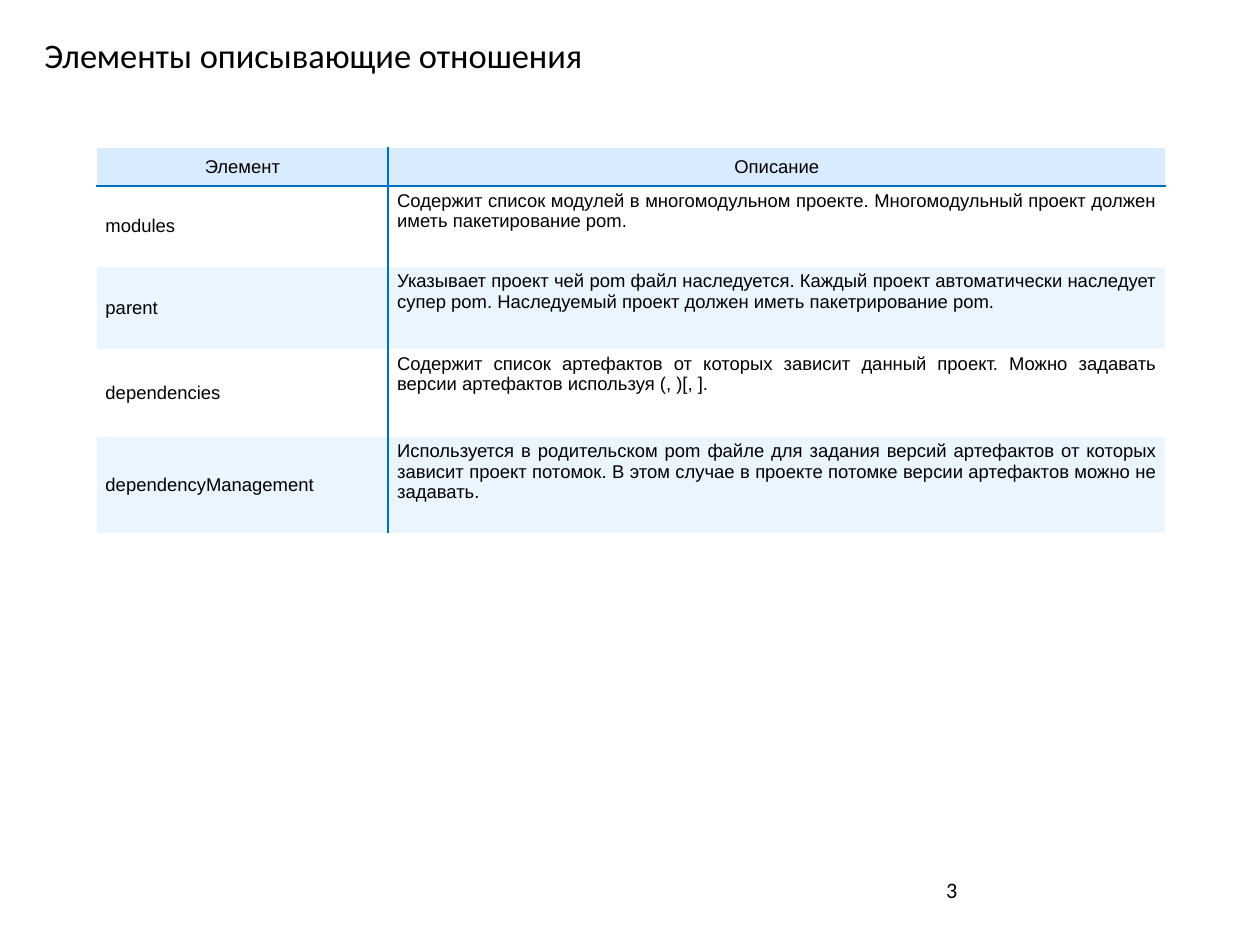
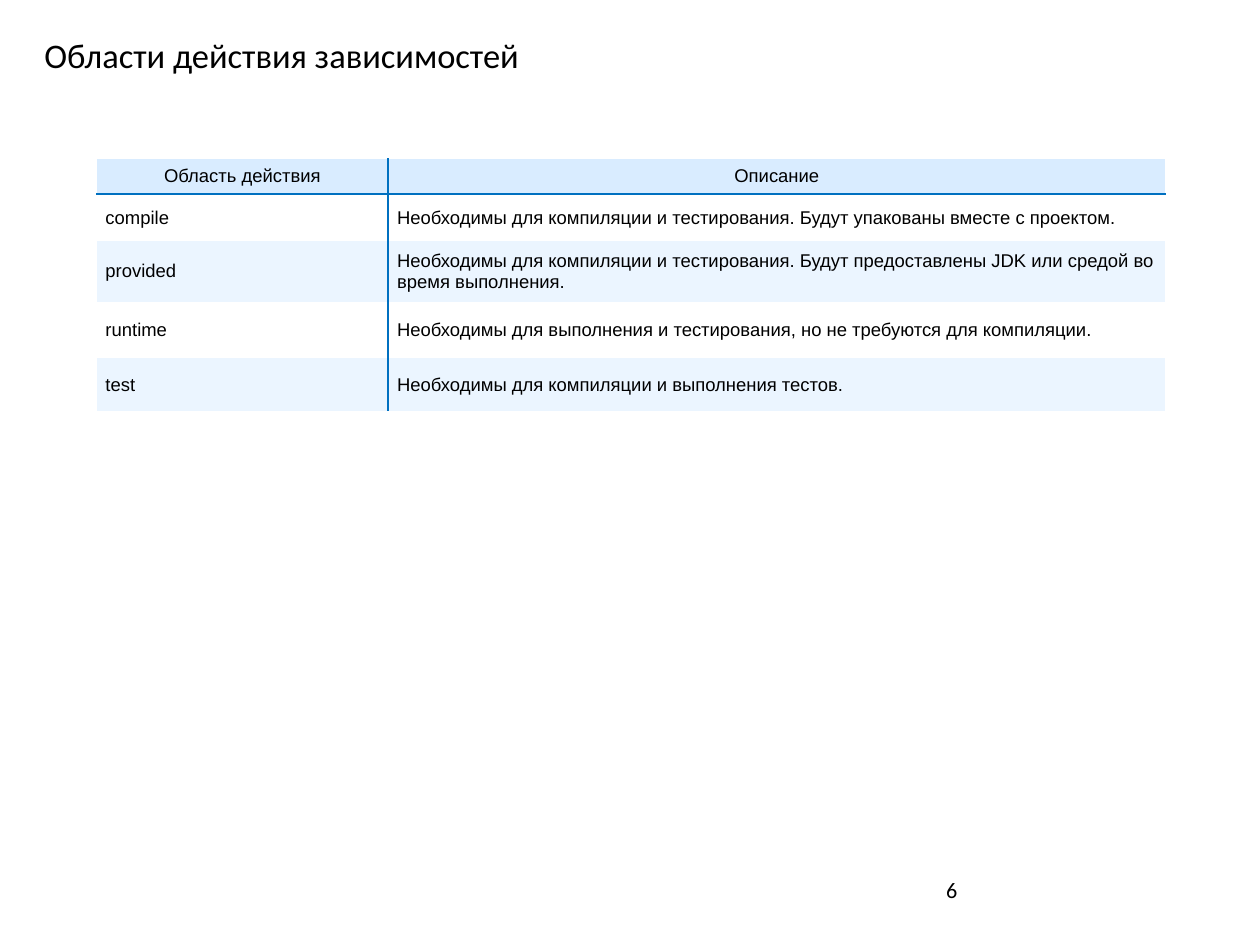
from lxml.etree import SubElement
from pptx import Presentation
from pptx.dml.color import RGBColor
from pptx.enum.text import MSO_ANCHOR, PP_ALIGN
from pptx.oxml.ns import qn
from pptx.util import Cm, Pt

COLOURS = {
    "text": "000000",
    "header": "D9ECFF",
    "plain": "FFFFFF",
    "band": "EBF5FF",
    "rule": "0070C0",
    "edge": "FFFFFF",
}
TITLE_FONT = {"name": "Calibri", "size": Pt(28)}
NUMBER_FONT = {"name": "Calibri", "size": Pt(18)}
TABLE_FONT = {"name": "Arial", "size": Pt(15)}
TITLE_BOX = (1.02, 0.76, 28.02, 1.6)
NUMBER_BOX = (26.87, 25.02, 8.43, 1.35)
TABLE_LEFT = 2.77
COLUMN_WIDTHS = (8.36, 22.28)
RULE = ("rule", 2.25)
EDGE = ("edge", 1)

SLIDES = [
    {
        "title": "Элементы описывающие отношения",
        "number": "3",
        "top": 4.22,
        "heights": (1.12, 2.31, 2.36, 2.51, 2.77),
        "description": (MSO_ANCHOR.TOP, PP_ALIGN.JUSTIFY),
        "rows": [
            ("Элемент", "Описание"),
            ("modules", "Содержит список модулей в многомодульном проекте. "
             "Многомодульный проект должен иметь пакетирование pom."),
            ("parent", "Указывает проект чей pom файл наследуется. Каждый проект "
             "автоматически наследует супер pom. Наследуемый проект должен иметь "
             "пакетрирование pom."),
            ("dependencies", "Содержит список артефактов от которых зависит данный "
             "проект. Можно задавать версии артефактов используя (, )[, ]."),
            ("dependencyManagement", "Используется в родительском pom файле для "
             "задания версий артефактов от которых зависит проект потомок. В этом "
             "случае в проекте потомке версии артефактов можно не задавать."),
        ],
    },
    {
        "title": "Области действия зависимостей",
        "number": "6",
        "top": 4.55,
        "heights": (1.02, 1.35, 1.73, 1.63, 1.5),
        "description": (MSO_ANCHOR.MIDDLE, PP_ALIGN.LEFT),
        "rows": [
            ("Область действия", "Описание"),
            ("compile", "Необходимы для компиляции и тестирования. Будут упакованы "
             "вместе с проектом."),
            ("provided", "Необходимы для компиляции и тестирования. Будут "
             "предоставлены JDK или средой во время выполнения."),
            ("runtime", "Необходимы для выполнения и тестирования, но не требуются "
             "для компиляции."),
            ("test", "Необходимы для компиляции и выполнения тестов."),
        ],
    },
]


def write_text(frame, text, font, alignment=PP_ALIGN.LEFT):
    """Write one formatted paragraph into a text frame."""
    paragraph = frame.paragraphs[0]
    paragraph.alignment = alignment
    run = paragraph.add_run()
    run.text = text
    for name, value in font.items():
        setattr(run.font, name, value)
    run.font.color.rgb = RGBColor.from_string(COLOURS["text"])


def add_label(slide, box, text, font, anchor):
    """Add a wrapping text box."""
    frame = slide.shapes.add_textbox(*map(Cm, box)).text_frame
    frame.word_wrap = True
    frame.vertical_anchor = anchor
    write_text(frame, text, font)


def set_borders(cell, borders):
    """Draw the left, right, top and bottom cell borders; None means no line."""
    properties = cell._tc.get_or_add_tcPr()
    for index, (side, border) in enumerate(zip("LRTB", borders)):
        line = SubElement(properties, qn(f"a:ln{side}"))
        properties.insert(index, line)
        if border is None:
            SubElement(line, qn("a:noFill"))
            continue
        colour, width = border
        line.set("w", str(Pt(width)))
        fill = SubElement(line, qn("a:solidFill"))
        SubElement(fill, qn("a:srgbClr")).set("val", COLOURS[colour])


def format_cell(cell, row, column, text, description):
    """Fill, border and write one cell according to its place in the table."""
    anchor, alignment = MSO_ANCHOR.MIDDLE, PP_ALIGN.LEFT
    if row == 0:
        fill, alignment = "header", PP_ALIGN.CENTER
    else:
        fill = "plain" if row % 2 else "band"
        if column == 1:
            anchor, alignment = description
    cell.fill.solid()
    cell.fill.fore_color.rgb = RGBColor.from_string(COLOURS[fill])
    cell.vertical_anchor = anchor
    write_text(cell.text_frame, text, TABLE_FONT, alignment)
    sides = (EDGE, RULE) if column == 0 else (RULE, EDGE)
    top = {0: EDGE, 1: RULE}.get(row)
    bottom = RULE if row == 0 else None
    set_borders(cell, (*sides, top, bottom))


def add_description_table(slide, left, top, content):
    """Add the two-column table of names and descriptions."""
    rows, heights = content["rows"], content["heights"]
    table = slide.shapes.add_table(
        len(rows), len(COLUMN_WIDTHS), Cm(left), Cm(top),
        Cm(sum(COLUMN_WIDTHS)), Cm(sum(heights)),
    ).table
    table.first_row = table.horz_banding = False
    for column, width in zip(table.columns, COLUMN_WIDTHS):
        column.width = Cm(width)
    for row, (texts, height) in enumerate(zip(rows, heights)):
        table.rows[row].height = Cm(height)
        for column, text in enumerate(texts):
            format_cell(table.cell(row, column), row, column, text,
                        content["description"])


def add_table_slide(presentation, content):
    """Add a slide with a title, a page number and a table."""
    slide = presentation.slides.add_slide(presentation.slide_layouts[6])
    add_label(slide, TITLE_BOX, content["title"], TITLE_FONT, MSO_ANCHOR.MIDDLE)
    add_label(slide, NUMBER_BOX, content["number"], NUMBER_FONT, MSO_ANCHOR.TOP)
    add_description_table(slide, TABLE_LEFT, content["top"], content)


def main():
    """Build and save the presentation."""
    presentation = Presentation()
    presentation.slide_width = Cm(36.12)
    presentation.slide_height = Cm(27.1)
    for content in SLIDES:
        add_table_slide(presentation, content)
    presentation.save("out.pptx")


if __name__ == "__main__":
    main()
